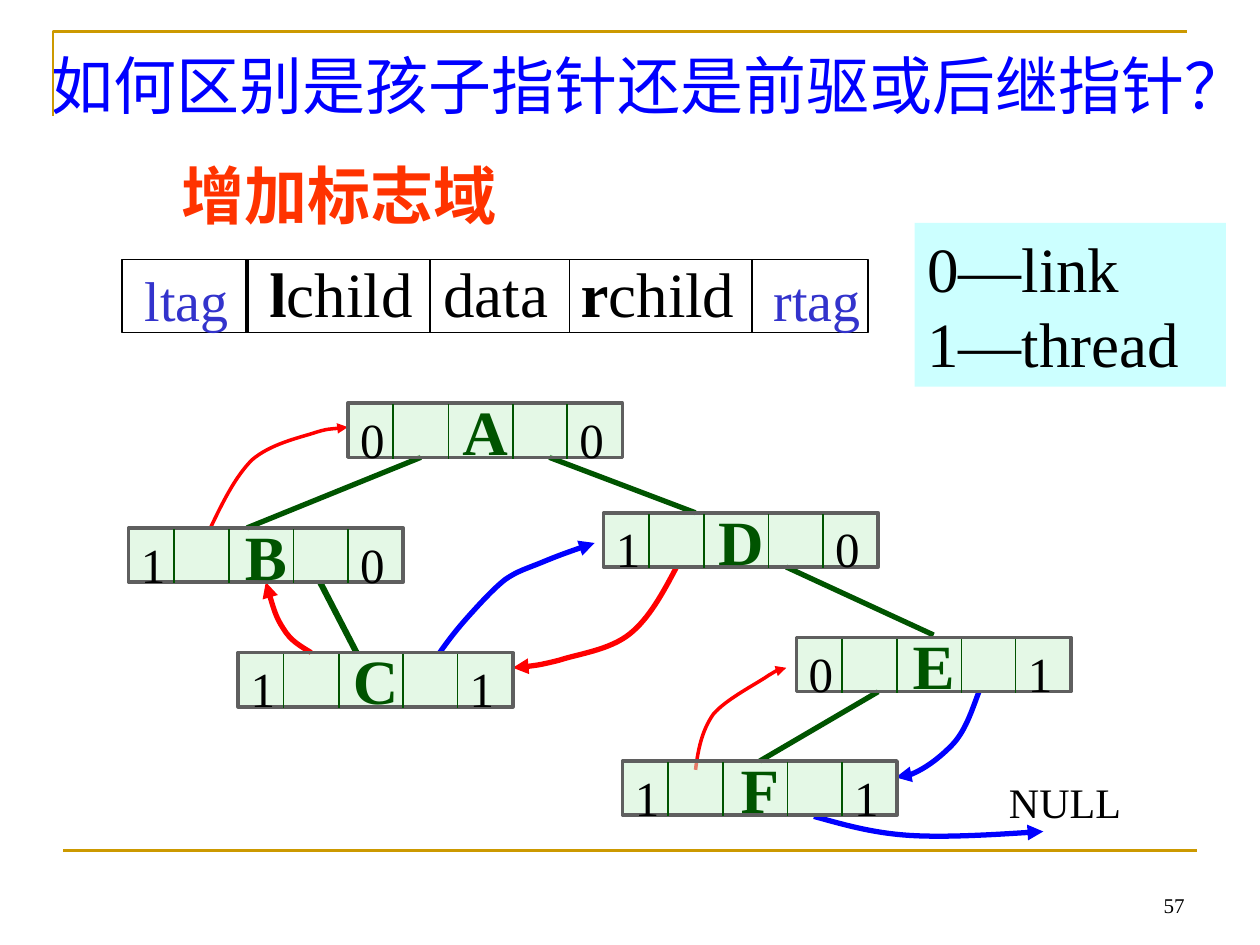
from lxml import etree
from pptx import Presentation
from pptx import util as u
from pptx.dml.color import RGBColor
from pptx.enum import shapes, text
from pptx.oxml.ns import qn

Inches, Pt = u.Inches, u.Pt
COLORS = {
    "gold": "CC9900", "black": "000000", "tag": "3333CC", "green": "005400",
    "blue": "0000FF", "red": "FF0000", "orange": "FF3300", "cyan": "CCFFFF",
    "node": "CAF2CE", "border": "5F5F5F",
}
SERIF, CJK = "Times New Roman", "Noto Sans CJK SC"
LEFT, CENTER, RIGHT = text.PP_ALIGN.LEFT, text.PP_ALIGN.CENTER, text.PP_ALIGN.RIGHT
TOP, MIDDLE, BOTTOM = text.MSO_ANCHOR.TOP, text.MSO_ANCHOR.MIDDLE, text.MSO_ANCHOR.BOTTOM


def write(sp, paragraphs, size, color="black", bold=False, font=SERIF,
          align=LEFT, anchor=TOP, wrap=True):
    """Fill a shape with paragraphs, each a string or a list of (text, bold) runs."""
    tf = sp.text_frame
    frame = {"word_wrap": wrap, "vertical_anchor": anchor, "auto_size": text.MSO_AUTO_SIZE.NONE}
    for name, value in frame.items():
        setattr(tf, name, value)
    for i, runs in enumerate(paragraphs):
        p = tf.add_paragraph() if i else tf.paragraphs[0]
        p.alignment = align
        p.line_spacing = Pt(1.2 * size)
        for words, heavy in [(runs, bold)] if isinstance(runs, str) else runs:
            r = p.add_run()
            r.text = words
            for name, value in {"size": Pt(size), "name": font, "bold": heavy}.items():
                setattr(r.font, name, value)
            r.font.color.rgb = RGBColor.from_string(COLORS[color])
            etree.SubElement(r.font._element, qn("a:ea"), typeface=CJK)


def stroke(sp, color, width, arrow=False):
    """Set the outline of a shape or connector, without a shadow."""
    sp.line.color.rgb = RGBColor.from_string(COLORS[color])
    sp.line.width = Pt(width)
    props = sp._element.spPr
    if arrow:
        etree.SubElement(sp.line._get_or_add_ln(), qn("a:tailEnd"), type="triangle")
    if props.find(qn("a:effectLst")) is None:
        etree.SubElement(props, qn("a:effectLst"))


prs = Presentation()
prs.slide_width, prs.slide_height = Inches(10), Inches(7.5)
s = prs.slides.add_slide(prs.slide_layouts[5])

# Gold frame lines
builder = s.shapes.build_freeform(Inches(0.42), Inches(0.92), scale=1.0)
builder.add_line_segments([(Inches(0.42), Inches(0.25)), (Inches(9.42), Inches(0.25))], close=False)
frame = builder.convert_to_shape()
frame.fill.background()
stroke(frame, "gold", 1.5)

# Straight lines: frame foot, field dividers, tree edges
lines = [
    (0.5, 6.75, 9.5, 6.75, "gold", 1.5),
    (3.41, 2.06, 3.41, 2.64, "black", 1),
    (4.52, 2.06, 4.52, 2.64, "black", 1),
    (3.34, 3.63, 1.96, 4.19, "green", 3),
    (4.36, 3.63, 5.52, 4.07, "green", 3),
    (2.54, 4.62, 2.83, 5.18, "green", 3.5),
    (6.24, 4.5, 7.41, 5.04, "green", 3),
    (6.97, 5.49, 6.03, 6.04, "green", 3),
]

# Threads: a start point, then three points for each Bézier piece
threads = [
    ("blue", 3, [(3.49, 5.18), (3.56, 5.08), (3.63, 4.99), (3.72, 4.89), (3.81, 4.79),
                 (3.92, 4.67), (4.01, 4.6), (4.11, 4.53), (4.19, 4.51), (4.31, 4.46),
                 (4.43, 4.41), (4.57, 4.36), (4.72, 4.31)]),
    ("red", 2, [(1.67, 4.19), (1.77, 3.98), (1.87, 3.78), (2, 3.65), (2.14, 3.53),
                (2.35, 3.48), (2.48, 3.44), (2.6, 3.4), (2.71, 3.4), (2.76, 3.39)]),
    ("red", 2, [(5.52, 6.11), (5.54, 5.95), (5.57, 5.8), (5.66, 5.67), (5.76, 5.55),
                (6, 5.43), (6.1, 5.36), (6.2, 5.3), (6.22, 5.3), (6.24, 5.3)]),
    ("red", 3, [(5.37, 4.5), (5.26, 4.71), (5.15, 4.91), (5, 5.03), (4.84, 5.16),
                (4.59, 5.19), (4.44, 5.24), (4.28, 5.28), (4.13, 5.3), (4.07, 5.3)]),
    ("blue", 3, [(7.77, 5.49), (7.71, 5.65), (7.66, 5.81), (7.55, 5.92),
                 (7.44, 6.03), (7.22, 6.19), (7.11, 6.17)]),
    ("blue", 3, [(6.46, 6.48), (6.68, 6.54), (6.91, 6.61), (7.21, 6.63),
                 (7.51, 6.65), (8.12, 6.61), (8.28, 6.6)]),
    ("red", 3, [(2.47, 5.18), (2.39, 5.13), (2.31, 5.09), (2.25, 4.99),
                (2.19, 4.9), (2.15, 4.76), (2.11, 4.62)]),
]
for color, width, points in threads:
    start, *rest = [(Inches(x), Inches(y)) for x, y in points]
    builder = s.shapes.build_freeform(*start, scale=1.0)
    builder.add_line_segments(rest, close=False)
    sp = builder.convert_to_shape()
    sp.fill.background()
    stroke(sp, color, width, arrow=True)
    # Join every three segments into one cubic curve
    segments = list(sp._element.iter(qn("a:lnTo")))
    for i in range(0, len(segments), 3):
        curve = etree.Element(qn("a:cubicBezTo"))
        segments[i].addprevious(curve)
        for segment in segments[i:i + 3]:
            curve.append(segment[0])
            segment.getparent().remove(segment)

# Tree nodes: left, top, letter, left tag, right tag
nodes = [
    (2.76, 3.2, "A", "0", "0"), (1.02, 4.19, "B", "1", "0"), (4.79, 4.07, "D", "1", "0"),
    (1.89, 5.18, "C", "1", "1"), (6.32, 5.06, "E", "0", "1"), (4.94, 6.04, "F", "1", "1"),
]
for x, y, *_ in nodes:
    lines += [(x + dx, y + 0.01, x + dx, y + 0.44, "green", 1) for dx in (0.36, 0.8, 1.31, 1.74)]

# Boxes: left, top, width, height, fill, outline
boxes = [(x, 2.06, w, 0.58, None, "black", 1) for x, w in ((0.97, 1), (1.95, 4.02), (5.97, 0.92))]
boxes += [(x, y, 2.18, 0.43, "node", "border", 2) for x, y, *_ in nodes]
letters = [None] * 3 + [node[2] for node in nodes]

for x1, y1, x2, y2, color, width in lines[:8]:
    sp = s.shapes.add_connector(shapes.MSO_CONNECTOR.STRAIGHT, *map(Inches, (x1, y1, x2, y2)))
    stroke(sp, color, width)
for (x, y, w, h, fill, color, width), letter in zip(boxes, letters):
    sp = s.shapes.add_shape(shapes.MSO_SHAPE.RECTANGLE, *map(Inches, (x, y, w, h)))
    stroke(sp, color, width)
    if fill is None:
        sp.fill.background()
        continue
    sp.fill.solid()
    sp.fill.fore_color.rgb = RGBColor.from_string(COLORS[fill])
    etree.SubElement(sp._element.spPr.find(qn("a:solidFill"))[0], qn("a:alpha"), val="50000")
    write(sp, [letter], 36, "green", bold=True, align=CENTER, anchor=MIDDLE, wrap=False)
for x1, y1, x2, y2, color, width in lines[8:]:
    sp = s.shapes.add_connector(shapes.MSO_CONNECTOR.STRAIGHT, *map(Inches, (x1, y1, x2, y2)))
    stroke(sp, color, width)

# Labels: position, paragraphs, size, other formats
labels = [
    ((1.05, 2.06, 1, 0.64), "ltag", 32, {"color": "tag"}),
    ((6.04, 2.06, 0.92, 0.64), "rtag", 32, {"color": "tag"}),
    ((7.91, 6.11, 1.23, 0.5), "NULL", 24, {}),
    ((1.34, 1.19, 5.02, 0.7), "增加标志域", 36, {"color": "orange", "bold": True}),
    ((7.17, 6.83, 2.33, 0.5), "57", 12, {"align": RIGHT, "anchor": BOTTOM}),
]
for x, y, _, left_tag, right_tag in nodes:
    labels += [((x, y, 0.44, 0.57), left_tag, 28, {}), ((x + 1.74, y, 0.44, 0.57), right_tag, 28, {})]
for place, words, size, formats in labels:
    write(s.shapes.add_textbox(*map(Inches, place)), [words], size, **formats)

# Field names, aligned by tab stops
fields = s.shapes.add_textbox(*map(Inches, (2.04, 1.97, 4, 0.7)))
tabs = etree.SubElement(fields.text_frame.paragraphs[0]._p.get_or_add_pPr(), qn("a:tabLst"))
for stop in (1.38, 2.47):
    etree.SubElement(tabs, qn("a:tab"), pos=str(Inches(stop)), algn="l")
write(fields, [[("l", True), ("child\tdata\t", False), ("r", True), ("child", False)]], 36)

# Title
title = s.shapes.title
for name, value in {"left": 0.3, "top": 0.32, "width": 9.43, "height": 1.3}.items():
    setattr(title, name, Inches(value))
write(title, ["如何区别是孩子指针还是前驱或后继指针？"], 36, "blue", font=CJK)

# Legend
legend = s.shapes.add_shape(shapes.MSO_SHAPE.RECTANGLE, *map(Inches, (7.26, 1.77, 2.47, 1.3)))
legend.shadow.inherit = False
legend.fill.solid()
legend.fill.fore_color.rgb = RGBColor.from_string(COLORS["cyan"])
legend.line.fill.background()
write(legend, ["0—link", "1—thread"], 36)

prs.save("out.pptx")
